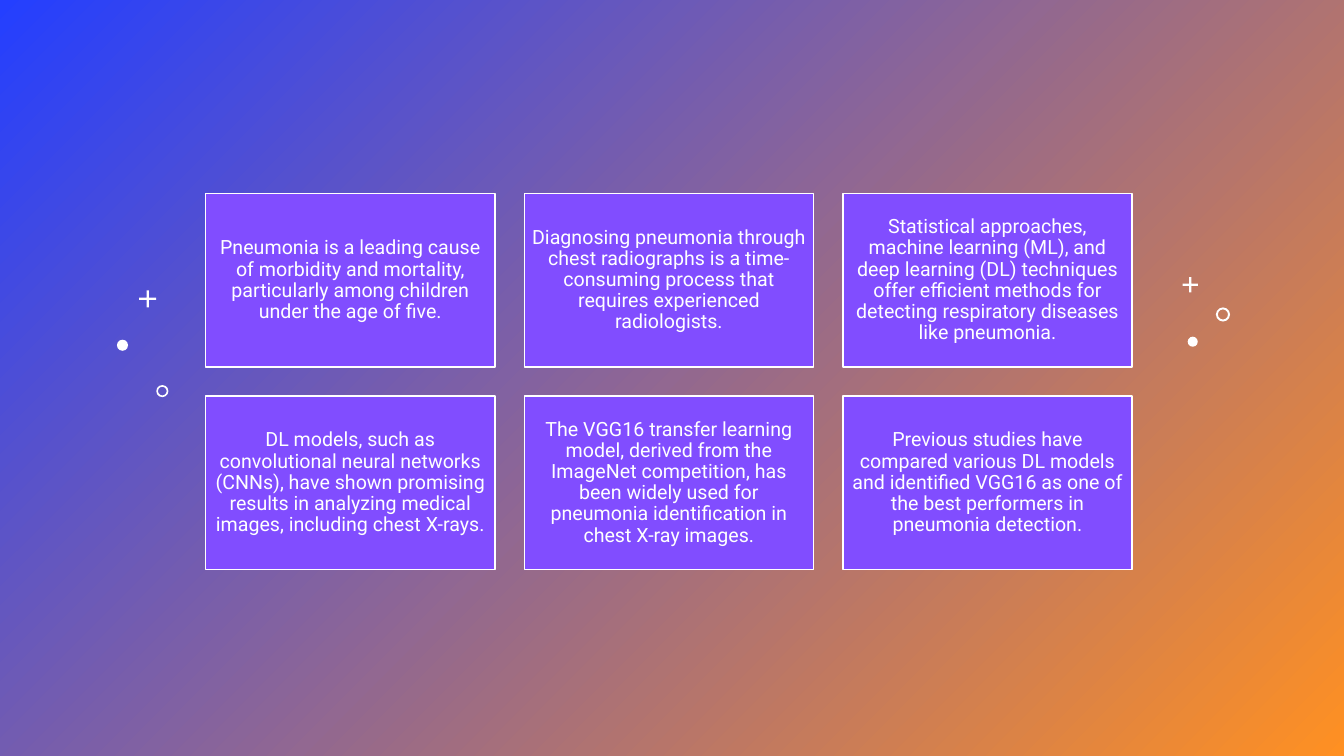
from pptx import Presentation
from pptx import util as u
from pptx.dml.color import RGBColor
from pptx.enum import shapes, text

COLORS = {
    "white": "FFFFFF",
    "card": "814DFF",
    "gradient_start": "243FFF",
    "gradient_end": "FF9022",
}

CARD_TEXTS = [
    "Pneumonia is a leading cause of morbidity and mortality, particularly among "
    "children under the age of five.",
    "Diagnosing pneumonia through chest radiographs is a time-consuming process "
    "that requires experienced radiologists.",
    "Statistical approaches, machine learning (ML), and deep learning (DL) "
    "techniques offer efficient methods for detecting respiratory diseases like "
    "pneumonia.",
    "DL models, such as convolutional neural networks (CNNs), have shown promising "
    "results in analyzing medical images, including chest X-rays.",
    "The VGG16 transfer learning model, derived from the ImageNet competition, has "
    "been widely used for pneumonia identification in chest X-ray images.",
    "Previous studies have compared various DL models and identified VGG16 as one "
    "of the best performers in pneumonia detection.",
]

COLUMNS = 3
CARD_LEFT, CARD_TOP = 2.04, 1.92
CARD_WIDTH, CARD_HEIGHT = 2.87, 1.72
CARD_GAP = 0.29

DOT = shapes.MSO_SHAPE.OVAL
PLUS = shapes.MSO_SHAPE.CROSS
RING = shapes.MSO_SHAPE.DONUT

# kind, left, top, size, stroke thickness as a share of the size
ORNAMENTS = [
    (DOT, 11.78, 3.34, 0.1, None),
    (PLUS, 11.73, 2.75, 0.15, 0.14),
    (RING, 12.06, 3.05, 0.14, 0.14),
    (PLUS, 1.38, 2.88, 0.17, 0.13),
    (DOT, 1.16, 3.37, 0.11, None),
    (RING, 1.55, 3.82, 0.12, 0.14),
]


def rgb(name):
    return RGBColor.from_string(COLORS[name])


def set_background(s):
    fill = s.background.fill
    fill.gradient()
    fill.gradient_angle = 315
    for stop, name in zip(fill.gradient_stops, ("gradient_start", "gradient_end")):
        stop.color.rgb = rgb(name)


def add_filled_shape(s, kind, left, top, width, height, color):
    sp = s.shapes.add_shape(kind, *map(u.Inches, (left, top, width, height)))
    sp.shadow.inherit = False
    sp.fill.solid()
    sp.fill.fore_color.rgb = rgb(color)
    sp.line.fill.background()
    return sp


def write_text(sp, content, *, size=14, font="Roboto", color="white",
               align=text.PP_ALIGN.CENTER, spacing=0.9, inset=0.06):
    tf = sp.text_frame
    tf.word_wrap = True
    tf.vertical_anchor = text.MSO_ANCHOR.MIDDLE
    tf.margin_left = tf.margin_right = u.Inches(inset)
    tf.margin_top = tf.margin_bottom = u.Inches(inset)
    p = tf.paragraphs[0]
    p.alignment = align
    p.line_spacing = spacing
    r = p.add_run()
    r.text = content
    r.font.size = u.Pt(size)
    r.font.name = font
    r.font.color.rgb = rgb(color)


def add_card(s, index, content):
    row, column = divmod(index, COLUMNS)
    left = CARD_LEFT + column * (CARD_WIDTH + CARD_GAP)
    top = CARD_TOP + row * (CARD_HEIGHT + CARD_GAP)
    sp = add_filled_shape(s, shapes.MSO_SHAPE.RECTANGLE, left, top,
                          CARD_WIDTH, CARD_HEIGHT, "card")
    sp.line.color.rgb = rgb("white")
    sp.line.width = u.Pt(1)
    write_text(sp, content)


def add_ornament(s, kind, left, top, size, stroke):
    sp = add_filled_shape(s, kind, left, top, size, size, "white")
    if kind == PLUS:
        sp.adjustments[0] = (1 - stroke) / 2
    elif kind == RING:
        sp.adjustments[0] = stroke


def main():
    prs = Presentation()
    prs.slide_width, prs.slide_height = u.Inches(13.33), u.Inches(7.5)
    s = prs.slides.add_slide(prs.slide_layouts[6])
    set_background(s)
    for ornament in ORNAMENTS:
        add_ornament(s, *ornament)
    for index, content in enumerate(CARD_TEXTS):
        add_card(s, index, content)
    prs.save("out.pptx")


if __name__ == "__main__":
    main()
